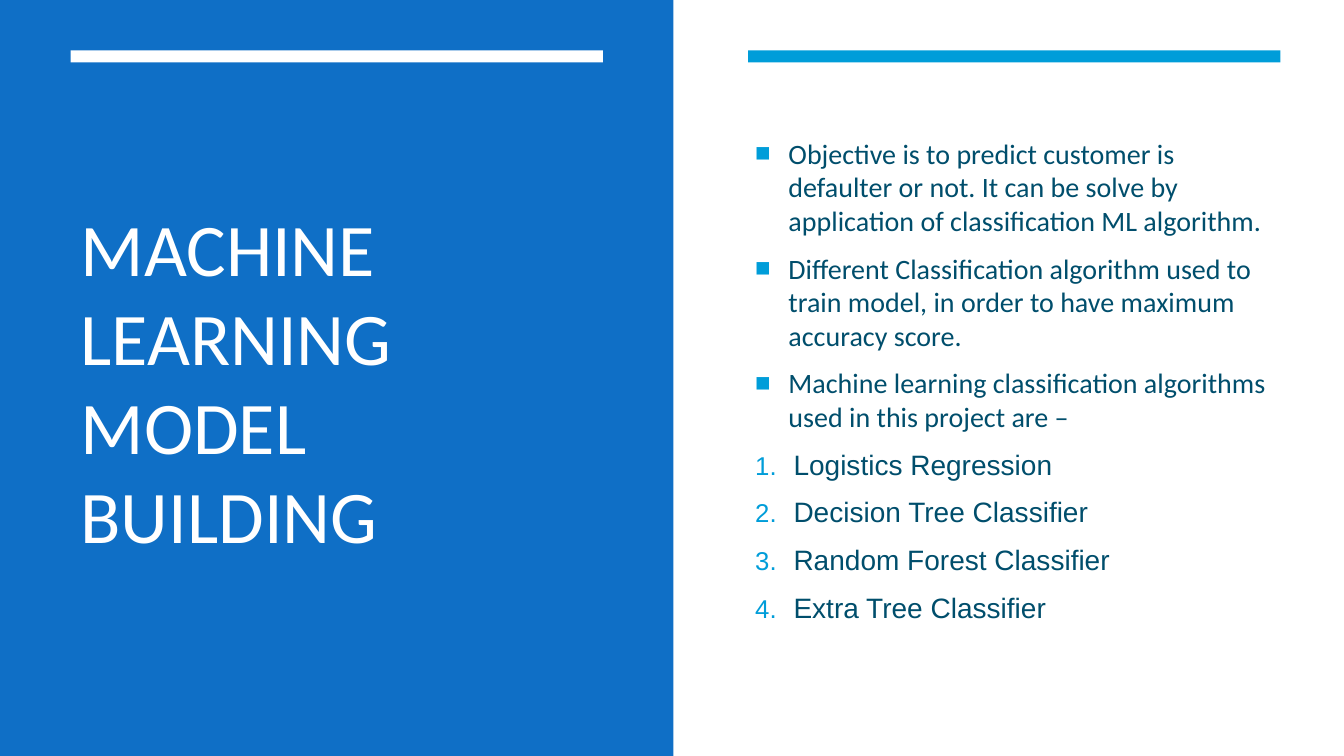
from lxml import etree
from pptx import Presentation
from pptx.dml.color import RGBColor
from pptx.enum import shapes, text
from pptx.oxml import ns
from pptx.util import Inches, Pt

WHITE = RGBColor(0xFF, 0xFF, 0xFF)
BLUE = RGBColor(0x0F, 0x6F, 0xC6)
CYAN = RGBColor(0x00, 0x9D, 0xD9)
NAVY = RGBColor(0x00, 0x4E, 0x6C)

TITLE = "MACHINE LEARNING MODEL BUILDING"
POINTS = [
    "Objective is to predict customer is defaulter or not. It can be solve by "
    "application of classification ML algorithm.",
    "Different Classification algorithm used to train model, in order to have "
    "maximum accuracy score.",
    "Machine learning classification algorithms used in this project are –",
]
ALGORITHMS = [
    "Logistics Regression",
    "Decision Tree Classifier",
    "Random Forest Classifier",
    "Extra Tree Classifier",
]


def add_bar(page, left, top, width, height, color):
    """Add a plain filled rectangle."""
    bar = page.shapes.add_shape(
        shapes.MSO_SHAPE.RECTANGLE,
        Inches(left), Inches(top), Inches(width), Inches(height))
    bar.shadow.inherit = False
    bar.fill.solid()
    bar.fill.fore_color.rgb = color
    bar.line.fill.background()
    return bar


def place_text(holder, left, top, width, height):
    """Move a placeholder and centre its text vertically."""
    holder.left, holder.top = Inches(left), Inches(top)
    holder.width, holder.height = Inches(width), Inches(height)
    frame = holder.text_frame
    frame.word_wrap = True
    frame.auto_size = text.MSO_AUTO_SIZE.NONE
    frame.vertical_anchor = text.MSO_ANCHOR.MIDDLE
    return frame


def style_font(para, name, size, color):
    """Set the font of a whole paragraph."""
    para.font.name = name
    para.font.size = Pt(size)
    para.font.color.rgb = color


def set_marker(para, indent, kind, **values):
    """Give a paragraph a hanging indent and a cyan bullet or number."""
    props = para._p.get_or_add_pPr()
    props.set("marL", str(Inches(indent)))
    props.set("indent", str(-Inches(indent)))
    color = etree.SubElement(props, ns.qn("a:buClr"))
    etree.SubElement(color, ns.qn("a:srgbClr"), val=str(CYAN))
    etree.SubElement(props, ns.qn("a:buSzPct"), val="92000")
    etree.SubElement(props, ns.qn("a:buFont"), typeface="Arial")
    etree.SubElement(props, ns.qn(kind), **values)


def build_title_panel(page, left, top, width, height):
    """Build the blue panel with its rule and title."""
    panel = add_bar(page, left, top, width, height, BLUE)
    page.shapes._spTree.insert(3, panel._element)
    add_bar(page, left + 0.7, top + 0.5, 5.28, 0.12, WHITE)
    frame = place_text(page.shapes.title, left + 0.7, top + 1.13, 5.28, 5.28)
    frame.text = TITLE
    para = frame.paragraphs[0]
    para.alignment = text.PP_ALIGN.LEFT
    style_font(para, "Calibri", 53, WHITE)


def build_list_panel(page, left, top):
    """Build the rule, the bullet points and the numbered algorithms."""
    add_bar(page, left + 0.03, top + 0.5, 5.28, 0.12, CYAN)
    frame = place_text(page.placeholders[1], left, top + 1.13, 5.31, 5.28)
    frame.text = "\n".join(POINTS + ALGORITHMS)
    for index, para in enumerate(frame.paragraphs):
        para.space_after = Pt(6)
        if index < len(POINTS):
            set_marker(para, 0.33, "a:buChar", char="■")
            style_font(para, "Calibri", 20, NAVY)
        else:
            set_marker(para, 0.38, "a:buAutoNum", type="arabicPeriod")
            style_font(para, "Arial", 20, NAVY)
    frame.paragraphs[-1].space_after = Pt(8)


def main():
    """Create the deck and save it."""
    deck = Presentation()
    deck.slide_width, deck.slide_height = Inches(13.33), Inches(7.5)
    page = deck.slides.add_slide(deck.slide_layouts[1])
    backdrop = add_bar(page, 0, 0, 13.33, 7.5, WHITE)
    page.shapes._spTree.insert(2, backdrop._element)
    build_title_panel(page, 0, 0, 6.68, 7.5)
    build_list_panel(page, 7.39, 0)
    deck.save("out.pptx")


if __name__ == "__main__":
    main()
